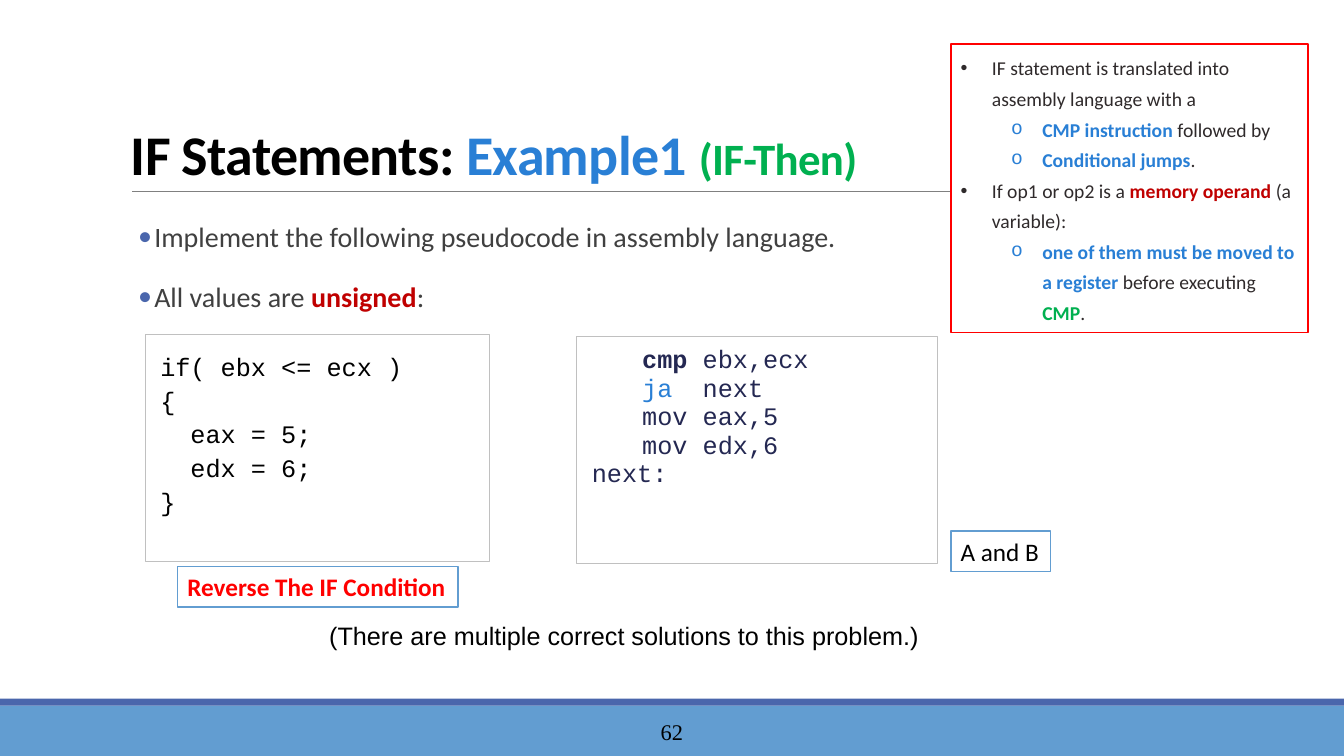
import pptx
import pptx.util
import pptx.dml.color
import pptx.enum.shapes
import pptx.enum.text
from dataclasses import dataclass
from lxml import etree
from pptx.oxml.ns import qn


@dataclass(frozen=True)
class Theme:
    sans: str = "Calibri"
    code: str = "Courier New"
    plain: str = "Arial"
    serif: str = "Times New Roman"
    black: str = "000000"
    white: str = "FFFFFF"
    body: str = "404040"
    ink: str = "2F2A2B"
    navy: str = "242852"
    blue: str = "297FD5"
    indigo: str = "4A66AC"
    sky: str = "629DD1"
    green: str = "00B050"
    crimson: str = "C00000"
    red: str = "FF0000"
    gray: str = "808080"
    silver: str = "C0C0C0"
    title_size: int = 40
    subtitle_size: int = 32
    body_size: int = 20
    text_size: int = 18
    number_size: int = 16
    panel_size: int = 14


THEME = Theme()

# Content: a paragraph is a list of (text, colour, bold) runs.
TITLE = [("IF Statements: ", THEME.black, THEME.title_size),
         ("Example1 ", THEME.blue, THEME.title_size),
         ("(IF-Then)", THEME.green, THEME.subtitle_size)]
BODY = [
    [("Implement the following pseudocode in assembly language.", THEME.body, False)],
    [("All values are ", THEME.body, False), ("unsigned", THEME.crimson, True),
     (":", THEME.body, False)],
]
PSEUDOCODE = ["if( ebx <= ecx )", "{", "  eax = 5;", "  edx = 6;", "}"]
ASSEMBLY = [  # (indent level, runs)
    (1, [("cmp ", THEME.navy, True), ("ebx,ecx", THEME.navy, False)]),
    (1, [("ja", THEME.blue, False), ("  next", THEME.navy, False)]),
    (1, [("mov eax,5", THEME.navy, False)]),
    (1, [("mov edx,6", THEME.navy, False)]),
    (0, [("next:", THEME.navy, False)]),
]
PANEL = [  # (indent level, runs)
    (0, [("IF statement is translated into assembly language with a", THEME.ink, False)]),
    (1, [("CMP instruction", THEME.blue, True), (" followed by", THEME.ink, False)]),
    (1, [("Conditional jumps", THEME.blue, True), (".", THEME.ink, False)]),
    (0, [("If op1 or op2 is a ", THEME.ink, False), ("memory operand ", THEME.crimson, True),
         ("(a variable):", THEME.ink, False)]),
    (1, [("one of them must be moved to a register ", THEME.blue, True),
         ("before executing ", THEME.ink, False), ("CMP", THEME.green, True),
         (".", THEME.ink, False)]),
]
NOTE = "(There are multiple correct solutions to this problem.)"
LABELS = [("A and B", THEME.black, False, (70.74, 70.27, 7.43, 5.33)),
          ("Reverse The IF Condition", THEME.red, True, (13.2, 74.93, 20.86, 5.33))]
PAGE_NUMBER = "62"

# Places: left, top, width, height in percent of the slide.
FOOTER = [((0, 93.33, 100, 6.67), THEME.sky), ((0, 92.4, 100, 0.93), THEME.indigo)]
RULE = (9.83, 91.6, 25.33)
NUMBER_AT = (30.23, 94.13, 39.53, 5.33)
TITLE_AT = (9, 4.13, 82.52, 21.2)
BODY_AT = (10.28, 27.47, 80.27, 17.73)
ASSEMBLY_AT = (42.91, 44.53, 26.86, 30)
PSEUDOCODE_AT = (10.8, 44.27, 25.66, 30)
NOTE_AT = (16.73, 80, 59.41, 8.13)
PANEL_AT = (70.74, 5.87, 26.56, 38.13)

deck = pptx.Presentation()
deck.slide_width = pptx.util.Inches(13.33)
deck.slide_height = pptx.util.Inches(7.5)
page = deck.slides.add_slide(deck.slide_layouts[6])

ANCHOR = pptx.enum.text.MSO_ANCHOR
ALIGN = pptx.enum.text.PP_ALIGN


def rgb(colour):
    return pptx.dml.color.RGBColor.from_string(colour)


def across(share):
    return round(deck.slide_width * share / 100)


def down(share):
    return round(deck.slide_height * share / 100)


def add_box(at, fill=None, line=None, weight=1.25, inset=(0.1, 0.05), anchor=ANCHOR.TOP, wrap=True):
    """Add a rectangle with text settings; inset is (sides, top and bottom) in inches."""
    left, top, width, height = at
    box = page.shapes.add_shape(pptx.enum.shapes.MSO_SHAPE.RECTANGLE, across(left), down(top),
                                across(width), down(height))
    box.shadow.inherit = False
    if fill:
        box.fill.solid()
        box.fill.fore_color.rgb = rgb(fill)
    else:
        box.fill.background()
    if line:
        box.line.color.rgb = rgb(line)
        box.line.width = pptx.util.Pt(weight)
    else:
        box.line.fill.background()
    frame = box.text_frame
    frame.word_wrap = wrap
    frame.vertical_anchor = anchor
    frame.margin_left = frame.margin_right = pptx.util.Inches(inset[0])
    frame.margin_top = frame.margin_bottom = pptx.util.Inches(inset[1])
    return box


def add_para(box, runs, size, font=THEME.sans, align=ALIGN.LEFT, spacing=1.0, before=0, after=0):
    frame = box.text_frame
    first = not frame.paragraphs[0].runs
    para = frame.paragraphs[0] if first else frame.add_paragraph()
    para.alignment = align
    para.line_spacing = spacing
    para.space_before = pptx.util.Pt(0 if first else before)
    para.space_after = pptx.util.Pt(after)
    for text, colour, bold in runs:
        span = para.add_run()
        span.text = text
        span.font.name = font
        span.font.size = pptx.util.Pt(size)
        span.font.bold = bold
        span.font.color.rgb = rgb(colour)
    return para


def indent(para, left, hanging=0, bullet=None, colour=None, font=THEME.plain):
    props = para._p.get_or_add_pPr()
    props.set("marL", str(pptx.util.Inches(left)))
    props.set("indent", str(-pptx.util.Inches(hanging)))
    if bullet:
        paint = etree.SubElement(props, qn("a:buClr"))
        etree.SubElement(paint, qn("a:srgbClr"), val=colour)
        etree.SubElement(props, qn("a:buFont"), typeface=font)
        etree.SubElement(props, qn("a:buChar"), char=bullet)


for at, colour in FOOTER:
    add_box(at, fill=colour)

rule_left, rule_right, rule_top = RULE
rule = page.shapes.add_connector(pptx.enum.shapes.MSO_CONNECTOR.STRAIGHT, across(rule_left),
                                 down(rule_top), across(rule_right), down(rule_top))
rule.line.color.rgb = rgb(THEME.gray)
rule.line.width = pptx.util.Pt(0.5)
etree.SubElement(rule._element.spPr, qn("a:effectLst"))

number = add_box(NUMBER_AT, anchor=ANCHOR.MIDDLE)
add_para(number, [(PAGE_NUMBER, THEME.black, False)], THEME.number_size, THEME.serif, ALIGN.CENTER)

title = add_box(TITLE_AT, anchor=ANCHOR.BOTTOM)
heading = add_para(title, [(text, colour, True) for text, colour, _ in TITLE],
                   THEME.title_size, spacing=0.85)
for span, (_, _, size) in zip(heading.runs, TITLE):
    span.font.size = pptx.util.Pt(size)
    span.font._element.set("spc", "-50")

body = add_box(BODY_AT, inset=(0, 0.05))
for runs in BODY:
    para = add_para(body, runs, THEME.body_size, spacing=1.2, before=12, after=2)
    indent(para, 0.16, 0.16, "•", THEME.indigo, THEME.sans)

assembly = add_box(ASSEMBLY_AT, line=THEME.silver, weight=0.75, inset=(0.15, 0.2))
for level, runs in ASSEMBLY:
    para = add_para(assembly, runs, THEME.text_size, THEME.code, spacing=0.5, before=9.5)
    indent(para, 0.5 * level)

pseudocode = add_box(PSEUDOCODE_AT, line=THEME.silver, weight=0.75, inset=(0.15, 0.2))
for text in PSEUDOCODE:
    add_para(pseudocode, [(text, THEME.black, False)], THEME.text_size, THEME.code,
             spacing=0.9, before=4.6)

note = add_box(NOTE_AT, inset=(0.1, 0.15))
add_para(note, [(NOTE, THEME.black, False)], THEME.text_size, THEME.plain, ALIGN.CENTER)

for text, colour, bold, at in LABELS:
    label = add_box(at, fill=THEME.white, line=THEME.sky, wrap=False)
    add_para(label, [(text, colour, bold)], THEME.text_size)

panel = add_box(PANEL_AT, fill=THEME.white, line=THEME.red)
for level, runs in PANEL:
    para = add_para(panel, runs, THEME.panel_size, spacing=1.3)
    if level:
        indent(para, 0.81, 0.31, "o", THEME.blue, THEME.code)
    else:
        indent(para, 0.31, 0.31, "•", THEME.ink)

deck.save("out.pptx")
